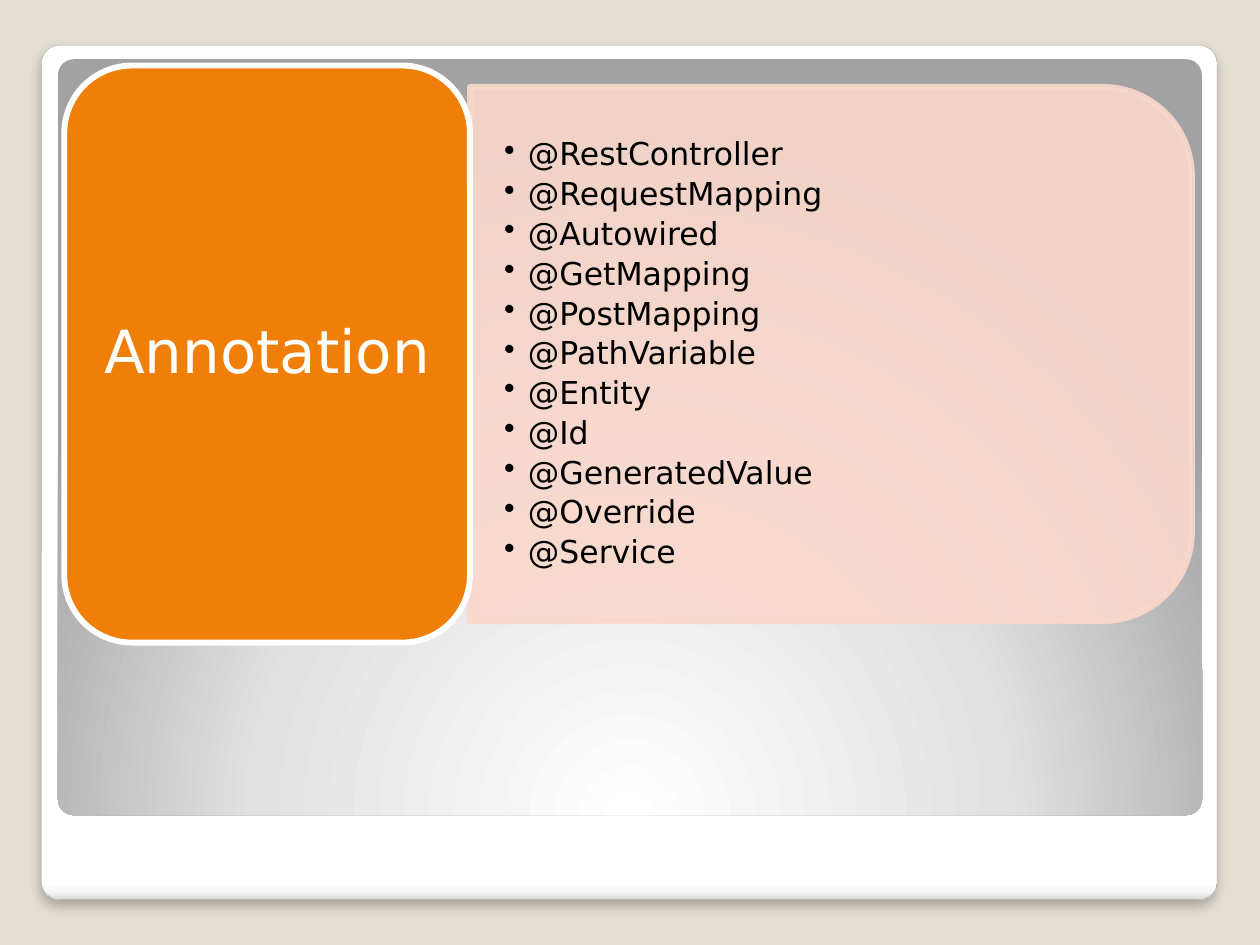
from dataclasses import dataclass

from lxml.etree import SubElement
from pptx import Presentation
from pptx.dml.color import RGBColor
from pptx.enum.shapes import MSO_SHAPE
from pptx.enum.text import MSO_ANCHOR, PP_ALIGN
from pptx.oxml.ns import qn
from pptx.util import Inches, Pt


@dataclass(frozen=True)
class Theme:
    font: str = "DejaVu Sans"
    background: str = "E3DED1"
    frame_line: str = "A4A4A4"
    accent: str = "F07F09"
    panel: str = "F9D8CC"
    light: str = "FFFFFF"
    dark: str = "000000"
    frame_stops: tuple = ((0, "FFFFFF"), (98, "FFFFFF"), (99, "F7F7F7"), (100, "DADADA"))
    glow_stops: tuple = ((0, "FFFFFF"), (55, "E1E1E1"), (100, "A2A2A2"))
    heading_size: int = 34
    list_size: int = 18
    border: float = 3.35


ANNOTATIONS = (
    "@RestController", "@RequestMapping", "@Autowired", "@GetMapping",
    "@PostMapping", "@PathVariable", "@Entity", "@Id", "@GeneratedValue",
    "@Override", "@Service",
)


def add_element(parent, tag, **attributes):
    """Append a DrawingML child whose attributes may be given as numbers."""
    texts = {name: str(value) for name, value in attributes.items()}
    return SubElement(parent, qn(tag), texts)


class SlideBuilder:
    def __init__(self, slide, theme):
        self.slide = slide
        self.theme = theme
        fill = slide.background.fill
        fill.solid()
        fill.fore_color.rgb = RGBColor.from_string(theme.background)

    def shape(self, kind, left, top, width, height, fill=None, line=None, line_width=0):
        shape = self.slide.shapes.add_shape(
            kind, Inches(left), Inches(top), Inches(width), Inches(height))
        shape.shadow.inherit = False
        if fill:
            shape.fill.solid()
            shape.fill.fore_color.rgb = RGBColor.from_string(fill)
        else:
            shape.fill.background()
        if line:
            shape.line.color.rgb = RGBColor.from_string(line)
            shape.line.width = Pt(line_width)
        else:
            shape.line.fill.background()
        return shape

    def gradient(self, shape, stops):
        """Replace an empty fill by a gradient and return it, still without direction."""
        properties = shape._element.spPr
        gradient = add_element(properties, "a:gradFill", rotWithShape=1)
        properties.replace(properties.find(qn("a:noFill")), gradient)
        stop_list = add_element(gradient, "a:gsLst")
        for position, color in stops:
            stop = add_element(stop_list, "a:gs", pos=position * 1000)
            add_element(stop, "a:srgbClr", val=color)
        return gradient

    def frame(self, left, top, width, height):
        frame = self.shape(MSO_SHAPE.ROUNDED_RECTANGLE, left, top, width, height,
                           line=self.theme.frame_line, line_width=0.16)
        frame.adjustments[0] = 0.021
        gradient = self.gradient(frame, self.theme.frame_stops)
        add_element(gradient, "a:lin", ang=90 * 60000, scaled=0)
        effects = frame._element.spPr.find(qn("a:effectLst"))
        shadow = add_element(effects, "a:outerShdw", blurRad=Pt(6), dist=Pt(4),
                             dir=90 * 60000, algn="tl", rotWithShape=0)
        color = add_element(shadow, "a:srgbClr", val=self.theme.dark)
        add_element(color, "a:alpha", val=25000)

    def glow(self, left, top, width, height):
        """Add the inner area, lit from below by a circular gradient."""
        glow = self.shape(MSO_SHAPE.ROUNDED_RECTANGLE, left, top, width, height)
        glow.adjustments[0] = 0.021
        gradient = self.gradient(glow, self.theme.glow_stops)
        circle = add_element(gradient, "a:path", path="circle")
        add_element(circle, "a:fillToRect", l=50000, t=175000, r=50000, b=-75000)

    def panel(self, left, top, width, height):
        """Add a translucent panel rounded at its right side, by a quarter turn."""
        panel = self.shape(
            MSO_SHAPE.ROUND_2_SAME_RECTANGLE,
            left + (width - height) / 2, top + (height - width) / 2, height, width,
            fill=self.theme.panel, line=self.theme.panel, line_width=self.theme.border)
        panel.rotation = 90
        for color in panel._element.spPr.iter(qn("a:srgbClr")):
            add_element(color, "a:alpha", val=90000)

    def text_frame(self, shape, side_inset, end_inset):
        frame = shape.text_frame
        frame.word_wrap = True
        frame.vertical_anchor = MSO_ANCHOR.MIDDLE
        frame.margin_left = frame.margin_right = Inches(side_inset)
        frame.margin_top = frame.margin_bottom = Inches(end_inset)
        return frame

    def text_run(self, paragraph, text, size, color):
        paragraph.line_spacing = 0.9
        run = paragraph.add_run()
        run.text = text
        run.font.name = self.theme.font
        run.font.size = Pt(size)
        run.font.color.rgb = RGBColor.from_string(color)

    def heading_card(self, text, left, top, width, height):
        card = self.shape(MSO_SHAPE.ROUNDED_RECTANGLE, left, top, width, height,
                          self.theme.accent, self.theme.light, self.theme.border)
        paragraph = self.text_frame(card, 0.14, 0.07).paragraphs[0]
        paragraph.alignment = PP_ALIGN.CENTER
        self.text_run(paragraph, text, self.theme.heading_size, self.theme.light)

    def bullet_list(self, items, left, top, width, height):
        box = self.slide.shapes.add_textbox(
            Inches(left), Inches(top), Inches(width), Inches(height))
        frame = self.text_frame(box, 0.27, 0.14)
        for index, item in enumerate(items):
            paragraph = frame.add_paragraph() if index else frame.paragraphs[0]
            paragraph.level = 1
            paragraph.space_after = Pt(3.3)
            self.text_run(paragraph, item, self.theme.list_size, self.theme.dark)
            properties = paragraph._p.get_or_add_pPr()
            properties.set("marL", str(Inches(0.19)))
            properties.set("indent", str(Inches(-0.19)))
            add_element(properties, "a:buChar", char="•")


def main():
    presentation = Presentation()
    presentation.slide_width = Inches(10)
    presentation.slide_height = Inches(7.5)
    blank_layout = presentation.slide_layouts[6]
    builder = SlideBuilder(presentation.slides.add_slide(blank_layout), Theme())

    builder.frame(0.33, 0.36, 9.33, 6.78)
    builder.glow(0.46, 0.47, 9.08, 6)
    builder.panel(3.73, 0.69, 5.73, 4.24)
    builder.bullet_list(ANNOTATIONS, 3.73, 0.9, 5.52, 3.83)
    builder.heading_card("Annotation", 0.51, 0.52, 3.22, 4.58)

    presentation.save("out.pptx")


if __name__ == "__main__":
    main()
